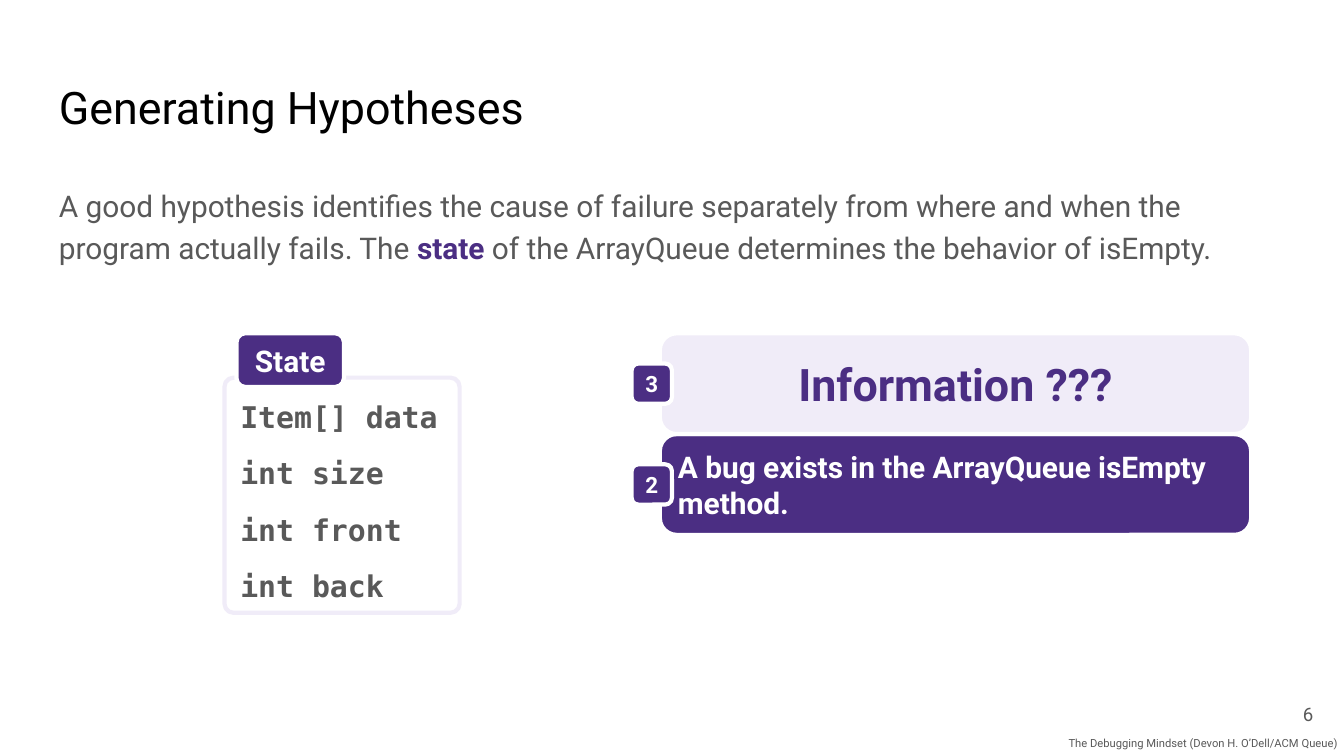
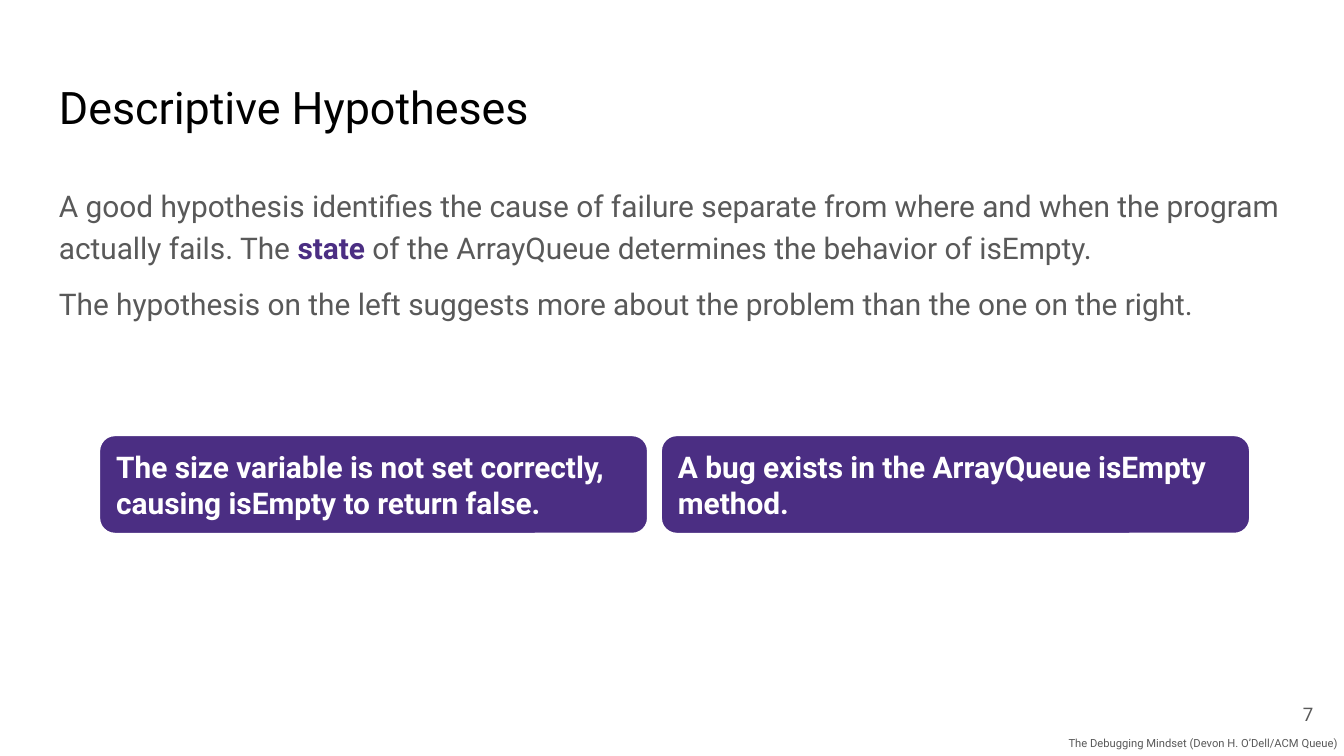
from pptx import Presentation
from pptx.dml.color import RGBColor
from pptx.enum.shapes import MSO_SHAPE
from pptx.enum.text import MSO_ANCHOR, PP_ALIGN
from pptx.util import Inches, Pt

PURPLE, LAVENDER, GREY, BLACK, WHITE = "4B2E83", "F0ECF8", "595959", "000000", "FFFFFF"
SANS, MONO = "Roboto", "DejaVu Sans Mono"
SLIDE_WIDTH = 10
SLIDE_HEIGHT = SLIDE_WIDTH * 9 / 16
MARGIN, CONTENT_WIDTH = 0.34, 9.32
CARD_LEFT, CARD_TOP, CARD_WIDTH, CARD_HEIGHT = 4.91, 3.23, 4.4, 0.75
BADGE_SIZE = 0.3
SOURCE = "The Debugging Mindset (Devon H. O’Dell/ACM Queue)"
BUG_HYPOTHESIS = "A bug exists in the ArrayQueue isEmpty method."
SIZE_HYPOTHESIS = "The size variable is not set correctly, causing isEmpty to return false."
STATE_SENTENCE = [("state", PURPLE, True),
                  (" of the ArrayQueue determines the behavior of isEmpty.", GREY, False)]
FIELDS = ["Item[] data", "int size", "int front", "int back"]


def color(hex_value):
    """Turn a hex string into a colour."""
    return RGBColor.from_string(hex_value)


def apply(target, formats):
    """Set every attribute named in a dict of format values."""
    for name, value in formats.items():
        setattr(target, name, value)


def write(shape, paragraphs, size, fill=GREY, bold=False, font=SANS, inset=0.1,
          anchor=MSO_ANCHOR.TOP, align=PP_ALIGN.LEFT, spacing=1.0, gap=0):
    """Fill a shape with paragraphs, each a string or a list of (text, colour, bold)."""
    frame = shape.text_frame
    sides = ("margin_left", "margin_top", "margin_right", "margin_bottom")
    apply(frame, {"word_wrap": True, "vertical_anchor": anchor,
                  **dict.fromkeys(sides, Inches(inset))})
    for index, content in enumerate(paragraphs):
        paragraph = frame.add_paragraph() if index else frame.paragraphs[0]
        apply(paragraph, {"alignment": align, "line_spacing": spacing,
                          "space_before": Pt(gap if index else 0), "space_after": Pt(0)})
        runs = [(content, fill, bold)] if isinstance(content, str) else content
        for text, run_color, run_bold in runs:
            run = paragraph.add_run()
            run.text = text
            apply(run.font, {"name": font, "size": Pt(size), "bold": run_bold})
            run.font.color.rgb = color(run_color)
    paragraph.space_after = Pt(gap)


def add_text(slide, box, paragraphs, size, **formats):
    """Add a text box."""
    write(slide.shapes.add_textbox(*map(Inches, box)), paragraphs, size, **formats)


def add_panel(slide, box, paragraphs, size, panel_fill=PURPLE, outline=WHITE,
              rounding=0.167, **formats):
    """Add an outlined rounded rectangle with text."""
    panel = slide.shapes.add_shape(MSO_SHAPE.ROUNDED_RECTANGLE, *map(Inches, box))
    panel.adjustments[0] = rounding
    panel.shadow.inherit = False
    panel.fill.solid()
    panel.fill.fore_color.rgb = color(panel_fill)
    panel.line.color.rgb = color(outline)
    panel.line.width = Pt(2.25)
    settings = {"fill": WHITE, "bold": True, "anchor": MSO_ANCHOR.MIDDLE}
    write(panel, paragraphs, size, **{**settings, **formats})


def add_hypothesis(slide, text, left=CARD_LEFT, width=CARD_WIDTH):
    """Add a purple card that states a hypothesis."""
    add_panel(slide, (left, CARD_TOP, width, CARD_HEIGHT), [text], 16)


def add_badge(slide, number, card_top):
    """Add a numbered badge on the left edge of a card."""
    top = card_top + (CARD_HEIGHT - BADGE_SIZE) / 2
    add_panel(slide, (4.7, top, BADGE_SIZE, BADGE_SIZE), [str(number)], 12,
              inset=0, align=PP_ALIGN.CENTER)


def add_state_box(slide):
    """Add the list of fields with its State tab."""
    add_panel(slide, (1.67, 2.81, 1.75, 1.75), FIELDS, 16, panel_fill=WHITE,
              outline=LAVENDER, rounding=0.039, fill=GREY, font=MONO,
              anchor=MSO_ANCHOR.TOP, spacing=1.15, gap=8)
    add_panel(slide, (1.76, 2.48, 0.8, 0.4), ["State"], 16, align=PP_ALIGN.CENTER)


def start_slide(deck, number, title, body, body_height):
    """Add a slide with its title, body, page number and source line."""
    slide = deck.slides.add_slide(deck.slide_layouts[6])
    add_text(slide, (MARGIN, 0.49, CONTENT_WIDTH, 0.63), [title], 24, fill=BLACK)
    add_text(slide, (9.27, 5.1, 0.6, 0.43), [str(number)], 10,
             anchor=MSO_ANCHOR.MIDDLE, align=PP_ALIGN.RIGHT)
    add_text(slide, (MARGIN, 1.26, CONTENT_WIDTH, body_height), body, 16,
             spacing=1.15, gap=8)
    add_text(slide, (0, 5.43, SLIDE_WIDTH, 0.2), [SOURCE], 6, inset=0.05,
             align=PP_ALIGN.RIGHT)
    return slide


def add_generating_slide(deck):
    """Build the slide on generating hypotheses."""
    opening = ("A good hypothesis identifies the cause of failure separately from where "
               "and when the program actually fails. The ")
    slide = start_slide(deck, 6, "Generating Hypotheses",
                        [[(opening, GREY, False), *STATE_SENTENCE]], 0.8)
    add_state_box(slide)
    add_hypothesis(slide, BUG_HYPOTHESIS)
    information_top = CARD_TOP - CARD_HEIGHT
    add_panel(slide, (CARD_LEFT, information_top, CARD_WIDTH, CARD_HEIGHT),
              ["Information ???"], 24, panel_fill=LAVENDER, fill=PURPLE,
              align=PP_ALIGN.CENTER)
    add_badge(slide, 2, CARD_TOP)
    add_badge(slide, 3, information_top)


def add_descriptive_slide(deck):
    """Build the slide that compares two hypotheses."""
    opening = ("A good hypothesis identifies the cause of failure separate from where "
               "and when the program actually fails. The ")
    comparison = ("The hypothesis on the left suggests more about the problem "
                  "than the one on the right.")
    slide = start_slide(deck, 7, "Descriptive Hypotheses",
                        [[(opening, GREY, False), *STATE_SENTENCE], comparison], 1.2)
    add_hypothesis(slide, BUG_HYPOTHESIS)
    add_hypothesis(slide, SIZE_HYPOTHESIS, left=0.73, width=4.1)


def main():
    """Build and save the deck."""
    deck = Presentation()
    apply(deck, {"slide_width": Inches(SLIDE_WIDTH), "slide_height": Inches(SLIDE_HEIGHT)})
    add_generating_slide(deck)
    add_descriptive_slide(deck)
    deck.save("out.pptx")


if __name__ == "__main__":
    main()
